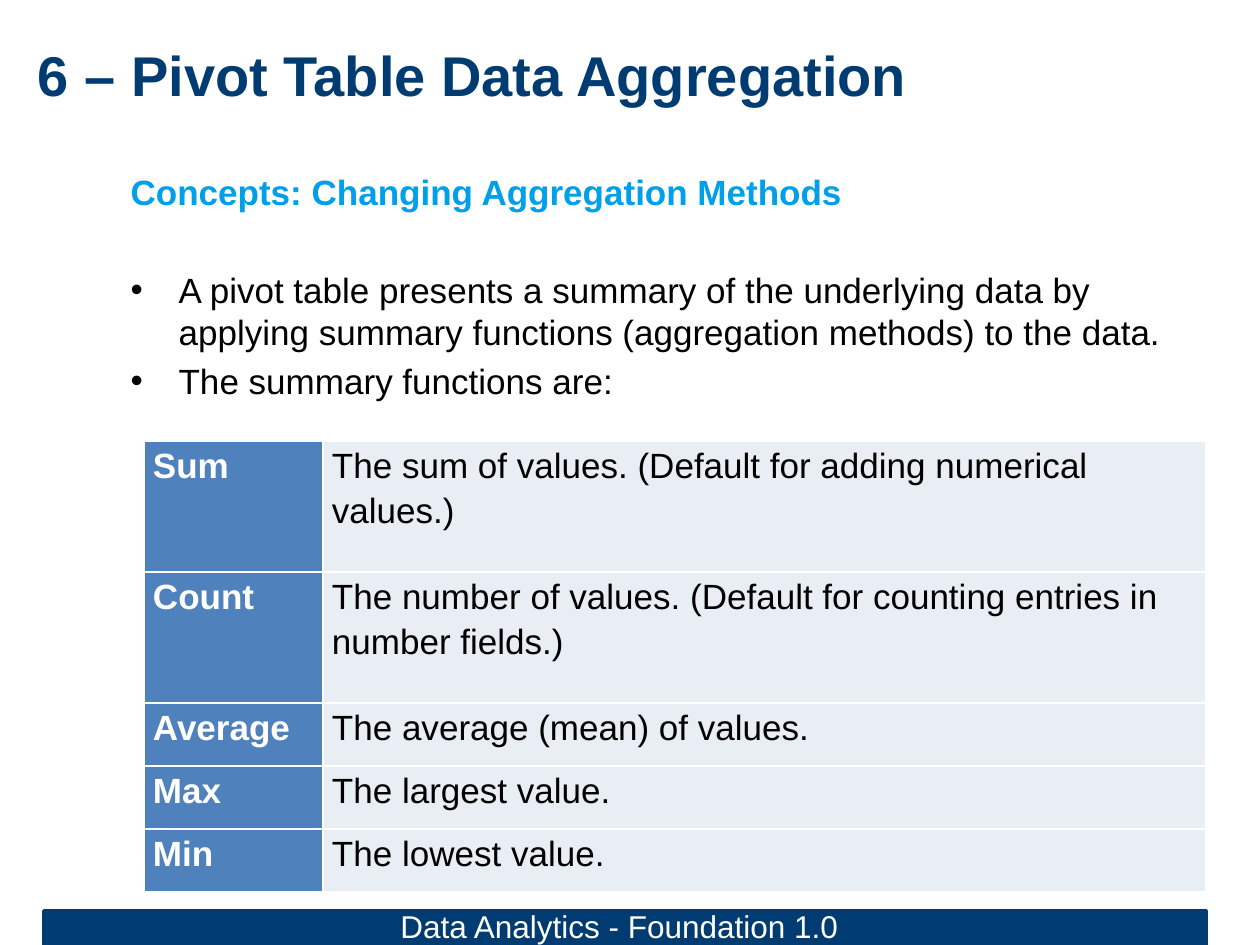
from dataclasses import dataclass

from lxml import etree
from pptx import Presentation, util as u
from pptx.dml.color import RGBColor
from pptx.enum import shapes, text
from pptx.oxml.ns import qn

SCALE = u.Inches(1) / 126
COLORS = {"navy": "003C71", "sky": "009FE9", "blue": "4F81BD",
          "pale": "E9EDF4", "white": "FFFFFF", "black": "000000"}
FONT = "Arial"


@dataclass
class Box:
    left: int
    top: int
    width: int
    height: int

    def emu(self) -> list:
        return [px(n) for n in (self.left, self.top, self.width, self.height)]


@dataclass
class Row:
    name: str
    note: str
    height: int


ROWS = [
    Row("Sum", "The sum of values. (Default for adding numerical values.)", 131),
    Row("Count", "The number of values. (Default for counting entries in "
        "number fields.)", 131),
    Row("Average", "The average (mean) of values.", 63),
    Row("Max", "The largest value.", 63),
    Row("Min", "The lowest value.", 63),
]
POINTS = [
    "A pivot table presents a summary of the underlying data by applying "
    "summary functions (aggregation methods) to the data.",
    "The summary functions are:",
]


def px(count: int) -> u.Emu:
    return u.Emu(round(count * SCALE))


def rgb(name: str) -> RGBColor:
    return RGBColor.from_string(COLORS[name])


def place(shape, box: Box) -> None:
    shape.left, shape.top, shape.width, shape.height = box.emu()


def write(frame, words: str, *, size=20, color="black", bold=False,
          align=text.PP_ALIGN.LEFT, before=0, lines=None, hang=None,
          more=False) -> None:
    """Fill the first paragraph, or add one if more; hang sets a bullet indent."""
    para = frame.add_paragraph() if more else frame.paragraphs[0]
    para.alignment = align
    para.space_before = u.Pt(before)
    if lines:
        para.line_spacing = lines
    props = para._p.get_or_add_pPr()
    props.set("marL", str(px(hang or 0)))
    props.set("indent", str(-px(hang or 0)))
    if hang:
        etree.SubElement(props, qn("a:buChar")).set("char", "•")
    else:
        etree.SubElement(props, qn("a:buNone"))
    run = para.add_run()
    run.text = words
    font = run.font
    font.name, font.size, font.bold = FONT, u.Pt(size), bold
    font.color.rgb = rgb(color)


def edge(cell, color: str) -> None:
    """Draw a one-point border on all four sides."""
    props = cell._tc.get_or_add_tcPr()
    for spot, side in enumerate(("lnL", "lnR", "lnT", "lnB")):
        line = etree.Element(qn(f"a:{side}"), w=str(u.Pt(1)))
        fill = etree.SubElement(line, qn("a:solidFill"))
        etree.SubElement(fill, qn("a:srgbClr")).set("val", COLORS[color])
        props.insert(spot, line)


def draw_cell(cell, words: str, *, fill: str, color: str, bold: bool) -> None:
    cell.margin_left = cell.margin_right = px(9)
    cell.margin_top = cell.margin_bottom = 0
    cell.fill.solid()
    cell.fill.fore_color.rgb = rgb(fill)
    edge(cell, "white")
    write(cell.text_frame, words, color=color, bold=bold, lines=1.15)


def draw_table(slide, rows: list[Row], left: int, top: int,
               widths: tuple[int, int]) -> None:
    box = Box(left, top, sum(widths), sum(row.height for row in rows))
    table = slide.shapes.add_table(len(rows), 2, *box.emu()).table
    table.first_row = table.horz_banding = False
    for col, width in zip(table.columns, widths):
        col.width = px(width)
    for i, row in enumerate(rows):
        table.rows[i].height = px(row.height)
        draw_cell(table.cell(i, 0), row.name, fill="blue", color="white", bold=True)
        draw_cell(table.cell(i, 1), row.note, fill="pale", color="black", bold=False)


def draw_foot(slide, words: str) -> None:
    bar = slide.shapes.add_shape(shapes.MSO_SHAPE.RECTANGLE,
                                 *Box(44, 911, 1162, 34).emu())
    bar.shadow.inherit = False
    bar.fill.solid()
    bar.fill.fore_color.rgb = bar.line.color.rgb = rgb("navy")
    bar.line.width = u.Pt(2)
    label = slide.shapes.add_textbox(*Box(388, 901, 486, 50).emu()).text_frame
    label.word_wrap = True
    write(label, words, size=18, color="white")


def draw_title(slide, words: str) -> None:
    title = slide.shapes.title
    place(title, Box(10, -4, 1304, 157))
    frame = title.text_frame
    frame.auto_size = text.MSO_AUTO_SIZE.NONE
    frame.vertical_anchor = text.MSO_ANCHOR.MIDDLE
    frame.margin_left = px(28)
    write(frame, words, size=32, color="navy", bold=True)


def draw_body(slide, head: str, points: list[str]) -> None:
    body = slide.placeholders[1]
    place(body, Box(118, 164, 1101, 742))
    frame = body.text_frame
    frame.auto_size = text.MSO_AUTO_SIZE.NONE
    pitch = u.Pt(24)
    write(frame, head, color="sky", bold=True, lines=pitch)
    for i, point in enumerate(points):
        write(frame, point, before=4 if i else 32, lines=pitch, hang=48, more=True)


def main() -> None:
    deck = Presentation()
    deck.slide_width, deck.slide_height = px(1260), px(945)
    slide = deck.slides.add_slide(deck.slide_layouts[1])
    draw_title(slide, "6 – Pivot Table Data Aggregation")
    draw_body(slide, "Concepts: Changing Aggregation Methods", POINTS)
    draw_table(slide, ROWS, 144, 441, (179, 883))
    draw_foot(slide, "Data Analytics - Foundation 1.0")
    deck.save("out.pptx")


if __name__ == "__main__":
    main()
